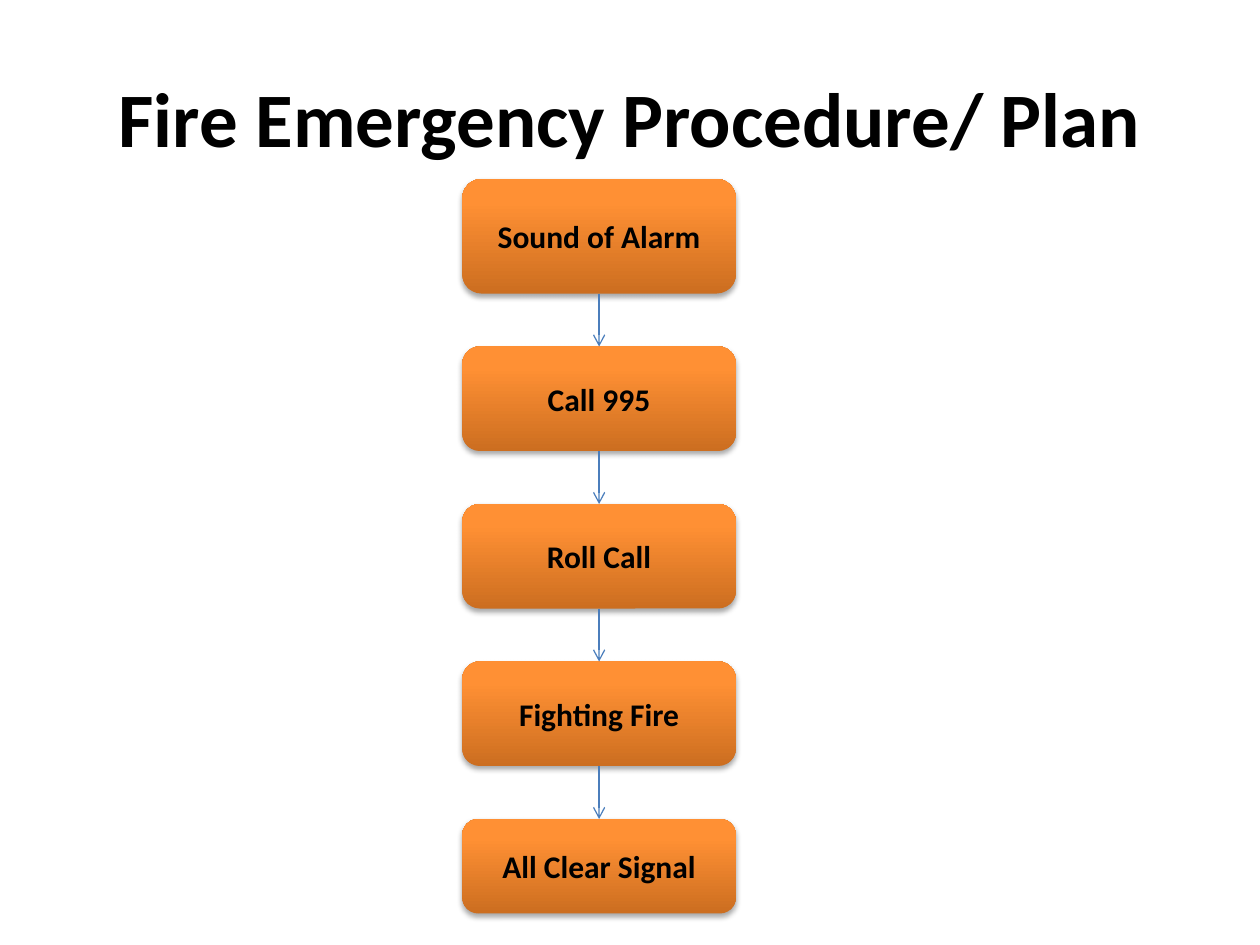
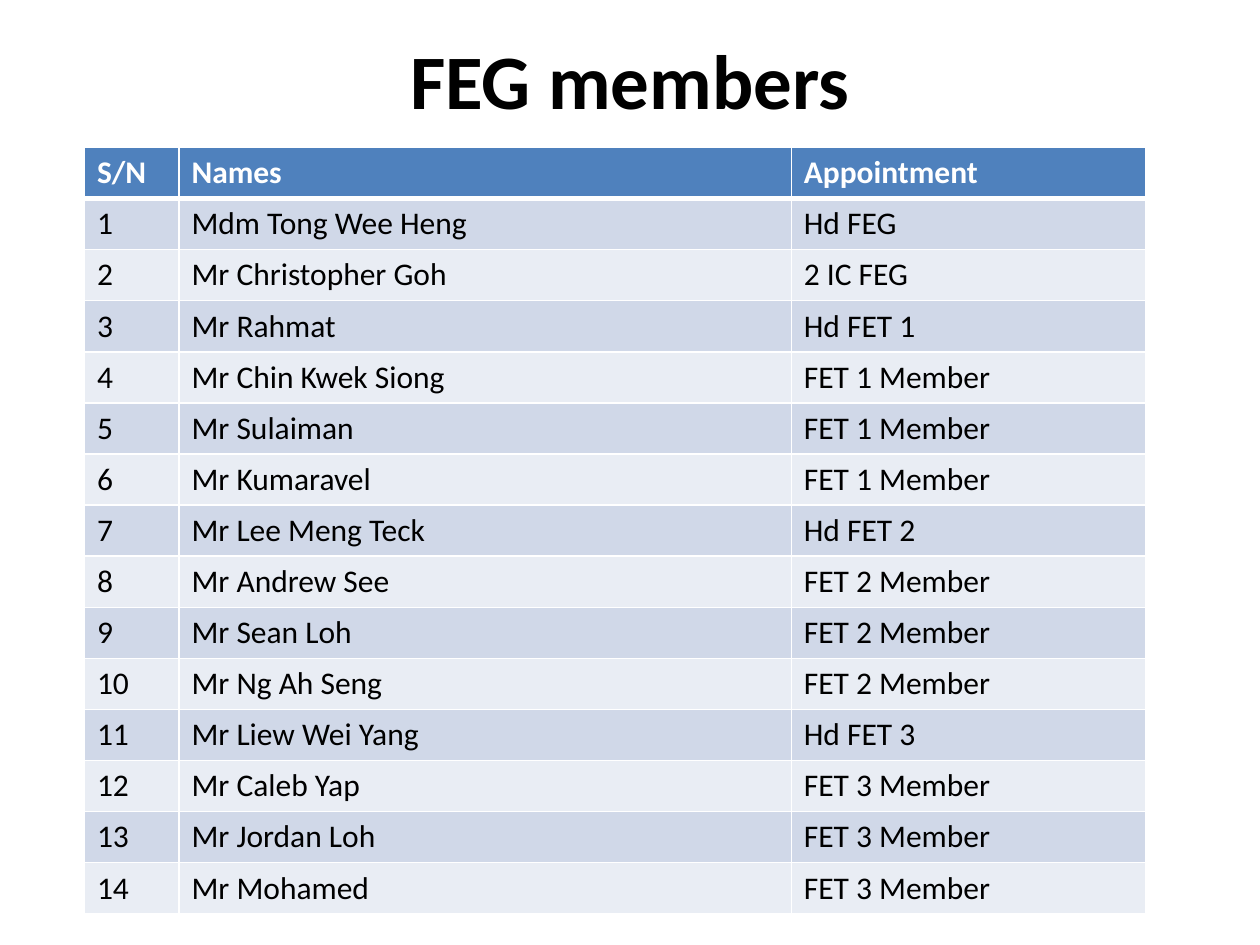
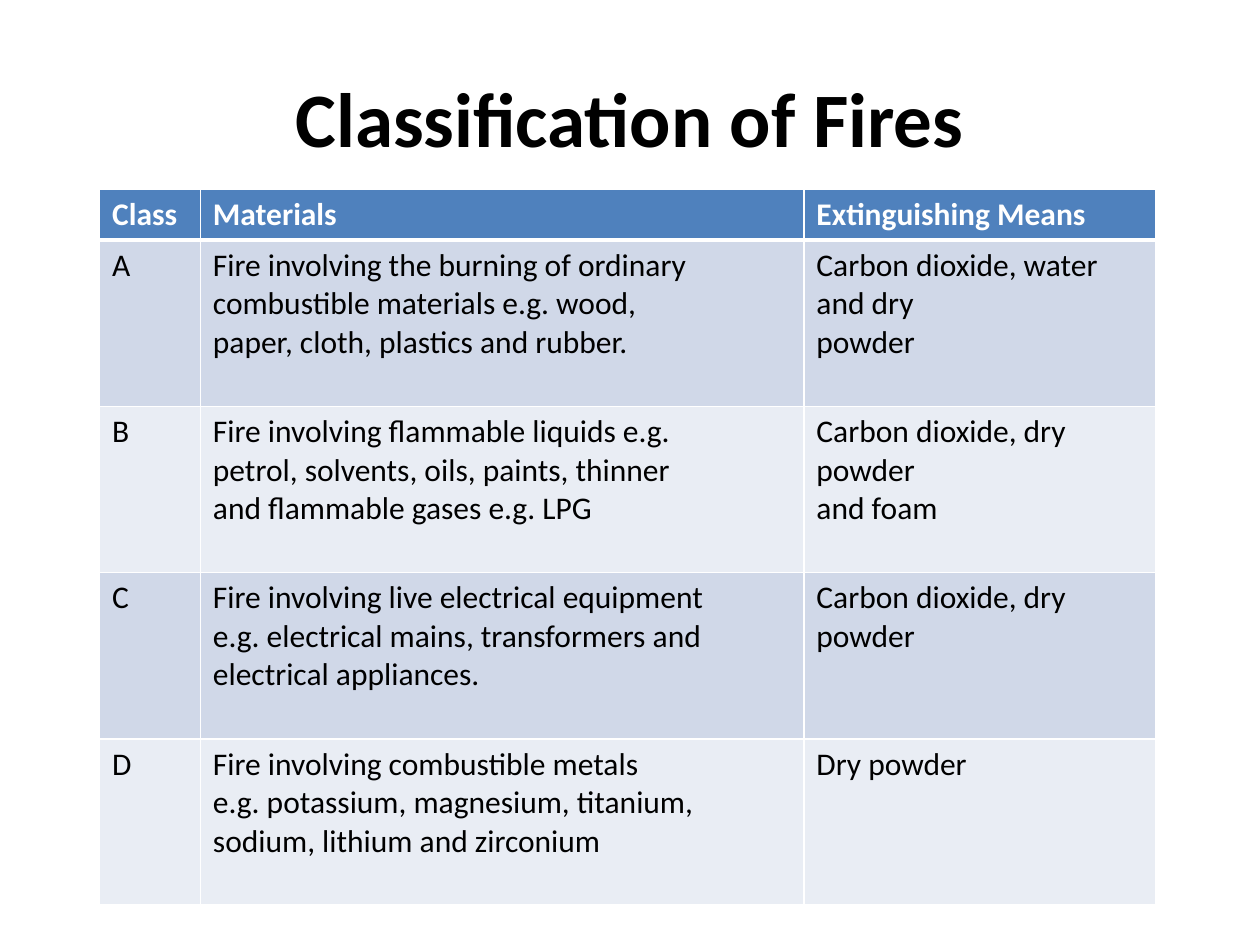
"""Build three fire emergency slides: a procedure flow and two tables."""
import copy

import pptx
import pptx.dml.color
import pptx.enum.dml
import pptx.enum.shapes
import pptx.enum.text
import pptx.oxml
import pptx.oxml.ns
import pptx.util

Inches = pptx.util.Inches
Pt = pptx.util.Pt
qn = pptx.oxml.ns.qn

BLACK, WHITE = "000000", "FFFFFF"
HEADER_FILL, BAND_FILLS = "4F81BD", ("D0D8E8", "E9EDF4")
ARROW_COLOUR = "4B7EBC"
BOX_GRADIENT = ((0, "CC6E20"), (0.8, "FF9034"), (1, "FF9136"))
TITLE_FONT = {"name": "Calibri", "size": Pt(44), "bold": True}
STRONG_FONT = {"name": "Calibri", "size": Pt(18), "bold": True}
BODY_FONT = {"name": "Calibri", "size": Pt(18), "bold": False}

STEPS = (
    ("Sound of Alarm", 1.42, 0.91),
    ("Call 995", 2.75, 0.83),
    ("Roll Call", 4, 0.83),
    ("Fighting Fire", 5.25, 0.83),
    ("All Clear Signal", 6.5, 0.75),
)

MEMBERS = (
    ("Mdm Tong Wee Heng", "Hd FEG"),
    ("Mr Christopher Goh", "2 IC FEG"),
    ("Mr Rahmat", "Hd FET 1"),
    ("Mr Chin Kwek Siong", "FET 1 Member"),
    ("Mr Sulaiman", "FET 1 Member"),
    ("Mr Kumaravel", "FET 1 Member"),
    ("Mr Lee Meng Teck", "Hd FET 2"),
    ("Mr Andrew See", "FET 2 Member"),
    ("Mr Sean Loh", "FET 2 Member"),
    ("Mr Ng Ah Seng", "FET 2 Member"),
    ("Mr Liew Wei Yang", "Hd FET 3"),
    ("Mr Caleb Yap", "FET 3 Member"),
    ("Mr Jordan Loh", "FET 3 Member"),
    ("Mr Mohamed", "FET 3 Member"),
)

FIRE_CLASSES = (
    ("Class", "Materials", "Extinguishing Means"),
    ("A",
     "Fire involving the burning of ordinary\n"
     "combustible materials e.g. wood,\n"
     "paper, cloth, plastics and rubber.",
     "Carbon dioxide, water and dry\npowder"),
    ("B",
     "Fire involving flammable liquids e.g.\n"
     "petrol, solvents, oils, paints, thinner\n"
     "and flammable gases e.g. LPG",
     "Carbon dioxide, dry powder\nand foam"),
    ("C",
     "Fire involving live electrical equipment\n"
     "e.g. electrical mains, transformers and\n"
     "electrical appliances.",
     "Carbon dioxide, dry powder"),
    ("D",
     "Fire involving combustible metals\n"
     "e.g. potassium, magnesium, titanium,\n"
     "sodium, lithium and zirconium",
     "Dry powder"),
)


def colour(value):
    """Turn a hex string into a colour."""
    return pptx.dml.color.RGBColor.from_string(value)


def add_xml(parent, tag, attributes=""):
    """Append a drawing element, given by its tag and attributes."""
    namespace = pptx.oxml.ns.nsdecls("a")
    child = pptx.oxml.parse_xml(f"<a:{tag} {namespace} {attributes}/>")
    parent.append(child)
    return child


class SlideBuilder:
    """Hold the shared style and add elements to the current slide."""

    def __init__(self, deck):
        """Keep the deck to which slides are added."""
        self.deck = deck
        self.slide = None

    def start(self, title, top=0.3):
        """Add a slide and place its title."""
        self.slide = self.deck.slides.add_slide(self.deck.slide_layouts[5])
        box = self.slide.shapes.title
        place = {"left": 0.5, "top": top, "width": 9, "height": 1.25}
        for name, value in place.items():
            setattr(box, name, Inches(value))
        self.set_text(box.text_frame, title, TITLE_FONT, centred=True)

    def set_text(self, frame, text, font, ink=BLACK, centred=False):
        """Set text in one font, centred both ways if asked."""
        frame.text = text
        if centred:
            frame.vertical_anchor = pptx.enum.text.MSO_ANCHOR.MIDDLE
        for para in frame.paragraphs:
            if centred:
                para.alignment = pptx.enum.text.PP_ALIGN.CENTER
            for span in para.runs:
                for name, value in font.items():
                    setattr(span.font, name, value)
                span.font.color.rgb = colour(ink)

    def step(self, text, top, height):
        """Add a rounded procedure box with a gradient and a soft shadow."""
        box = self.slide.shapes.add_shape(
            pptx.enum.shapes.MSO_SHAPE.ROUNDED_RECTANGLE,
            Inches(3.67), Inches(top), Inches(2.17), Inches(height))
        box.line.fill.background()
        box.fill.gradient()
        box.fill.gradient_angle = 90
        properties = box._element.spPr
        stop_list = properties.find(".//" + qn("a:gsLst"))
        stop_list.append(copy.deepcopy(stop_list[-1]))
        for stop, (position, value) in zip(box.fill.gradient_stops, BOX_GRADIENT):
            stop.position = position
            stop.color.rgb = colour(value)
        box.shadow.inherit = False
        shadow = add_xml(
            properties.find(qn("a:effectLst")), "outerShdw",
            'blurRad="40000" dist="23000" dir="5400000" rotWithShape="0"')
        ink = add_xml(shadow, "srgbClr", f'val="{BLACK}"')
        add_xml(ink, "alpha", 'val="35000"')
        self.set_text(box.text_frame, text, STRONG_FONT, centred=True)
        return box

    def arrow(self, upper, lower):
        """Join two boxes with a downward arrow."""
        connector = self.slide.shapes.add_connector(
            pptx.enum.shapes.MSO_CONNECTOR.STRAIGHT, 0, 0, 0, 0)
        connector.begin_connect(upper, 2)
        connector.end_connect(lower, 0)
        connector.line.color.rgb = colour(ARROW_COLOUR)
        connector.line.width = Pt(0.75)
        properties = connector._element.spPr
        add_xml(properties.find(qn("a:ln")), "tailEnd", 'type="arrow"')
        add_xml(properties, "effectLst")

    def table(self, rows, left, top, widths, heights):
        """Add a table with a header row and banded body rows."""
        table = self.slide.shapes.add_table(
            len(rows), len(widths), Inches(left), Inches(top),
            Inches(sum(widths)), Inches(sum(heights))).table
        for column, width in zip(table.columns, widths):
            column.width = Inches(width)
        for row, height in zip(table.rows, heights):
            row.height = Inches(height)
        for row_index, texts in enumerate(rows):
            header = row_index == 0
            fill = HEADER_FILL if header else BAND_FILLS[(row_index - 1) % 2]
            font, ink = (STRONG_FONT, WHITE) if header else (BODY_FONT, BLACK)
            borders = {"lnL": 1, "lnR": 1, "lnT": 3 if row_index == 1 else 1,
                       "lnB": 3 if header else 1}
            for column_index, text in enumerate(texts):
                cell = table.cell(row_index, column_index)
                self.set_text(cell.text_frame, text, font, ink)
                self.border(cell, borders)
                cell.fill.solid()
                cell.fill.fore_color.rgb = colour(fill)

    def border(self, cell, borders):
        """Draw white cell borders with the given widths in points."""
        properties = cell._tc.get_or_add_tcPr()
        for tag, width in borders.items():
            line = add_xml(properties, tag, f'w="{Pt(width)}"')
            add_xml(add_xml(line, "solidFill"), "srgbClr", f'val="{WHITE}"')


def main():
    """Build the slides and save the deck."""
    deck = pptx.Presentation()
    deck.slide_width, deck.slide_height = Inches(10), Inches(7.5)
    builder = SlideBuilder(deck)

    builder.start("Fire Emergency Procedure/ Plan")
    boxes = [builder.step(*step) for step in STEPS]
    for upper, lower in zip(boxes, boxes[1:]):
        builder.arrow(upper, lower)

    builder.start("FEG members", top=0)
    members = [("S/N", "Names", "Appointment")]
    members += [(str(number), *member) for number, member in enumerate(MEMBERS, 1)]
    builder.table(members, 0.67, 1.17, (0.75, 4.86, 2.81),
                  [6.08 / len(members)] * len(members))

    builder.start("Classification of Fires")
    builder.table(FIRE_CLASSES, 0.79, 1.5, (0.8, 4.79, 2.79), [0.4] + [1.32] * 4)

    deck.save("out.pptx")


if __name__ == "__main__":
    main()
